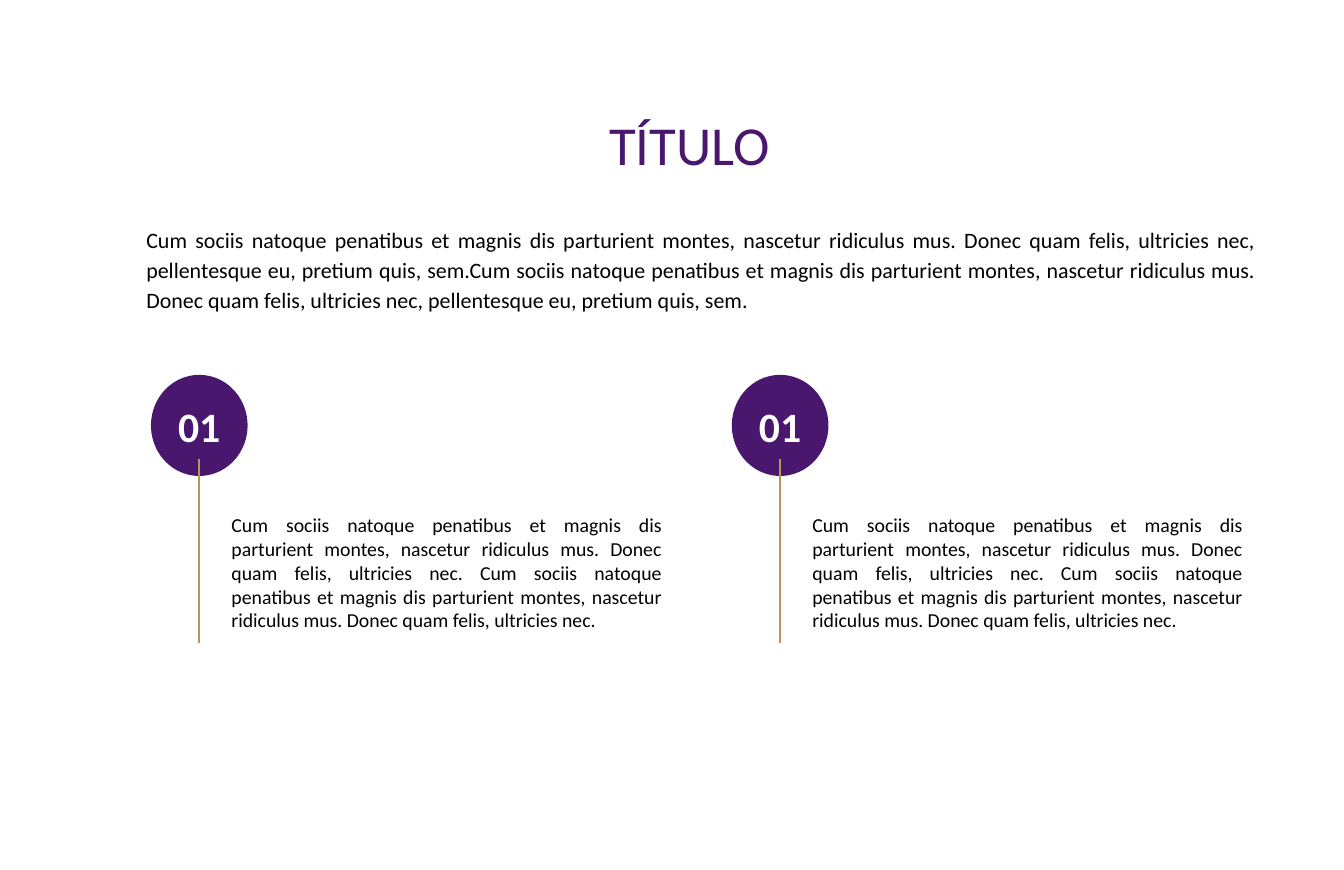
"""Build a title slide with an introduction and two numbered columns."""
from lxml.etree import SubElement
from pptx import Presentation
from pptx.dml.color import RGBColor
from pptx.enum.shapes import MSO_CONNECTOR, MSO_SHAPE
from pptx.enum.text import MSO_ANCHOR, PP_ALIGN
from pptx.oxml.ns import qn
from pptx.util import Pt

PURPLE = "49176D"
GOLD = "BC955C"
BLACK = "000000"
WHITE = "FFFFFF"
COLUMN_STEP = 529
SENTENCE = "Cum sociis natoque penatibus et magnis dis parturient montes, nascetur ridiculus mus. "
INTRO = SENTENCE + "Donec quam felis, ultricies nec, pellentesque eu, pretium quis, sem."
DETAIL = SENTENCE + "Donec quam felis, ultricies nec."


def color(hex_value):
    return RGBColor.from_string(hex_value)


def write_text(shape, text, size, hex_value, alignment, inset, bold=False):
    frame = shape.text_frame
    frame.word_wrap = True
    frame.margin_left = frame.margin_right = Pt(inset)
    frame.margin_top = frame.margin_bottom = Pt(inset)
    paragraph = frame.paragraphs[0]
    paragraph.alignment = alignment
    run = paragraph.add_run()
    run.text = text
    run.font.name = "Calibri"
    run.font.size = Pt(size)
    run.font.bold = bold
    run.font.color.rgb = color(hex_value)
    return paragraph


presentation = Presentation()
presentation.slide_width = Pt(1224)
presentation.slide_height = Pt(792)
slide = presentation.slides.add_slide(presentation.slide_layouts[6])
slide.background.fill.solid()
slide.background.fill.fore_color.rgb = color(WHITE)

title = slide.shapes.add_textbox(Pt(146), Pt(93.6), Pt(964), Pt(75))
write_text(title, "TÍTULO", 50, PURPLE, PP_ALIGN.CENTER, 7.2)

intro = slide.shapes.add_textbox(Pt(118.2), Pt(187.2), Pt(1040.4), Pt(187.2))
paragraph = write_text(intro, INTRO + INTRO, 20, BLACK, PP_ALIGN.JUSTIFY, 15)
paragraph.line_spacing = 1.15

for column in range(2):
    offset = column * COLUMN_STEP

    circle = slide.shapes.add_shape(
        MSO_SHAPE.OVAL, Pt(137.5 + offset), Pt(341.3), Pt(88), Pt(92))
    circle.shadow.inherit = False
    circle.fill.solid()
    circle.fill.fore_color.rgb = color(PURPLE)
    circle.line.fill.background()
    circle.text_frame.vertical_anchor = MSO_ANCHOR.MIDDLE
    write_text(circle, "01", 38, WHITE, PP_ALIGN.CENTER, 0, bold=True)

    detail = slide.shapes.add_textbox(
        Pt(195.8 + offset), Pt(452.2), Pt(422), Pt(162))
    write_text(detail, DETAIL + " " + DETAIL, 18, BLACK, PP_ALIGN.JUSTIFY, 15)

    line_x = Pt(181.5 + offset)
    line = slide.shapes.add_connector(
        MSO_CONNECTOR.STRAIGHT, line_x, Pt(417.6), line_x, Pt(585.4))
    line.line.color.rgb = color(GOLD)
    line.line.width = Pt(1.5)
    SubElement(line._element.spPr, qn("a:effectLst"))

presentation.save("out.pptx")
